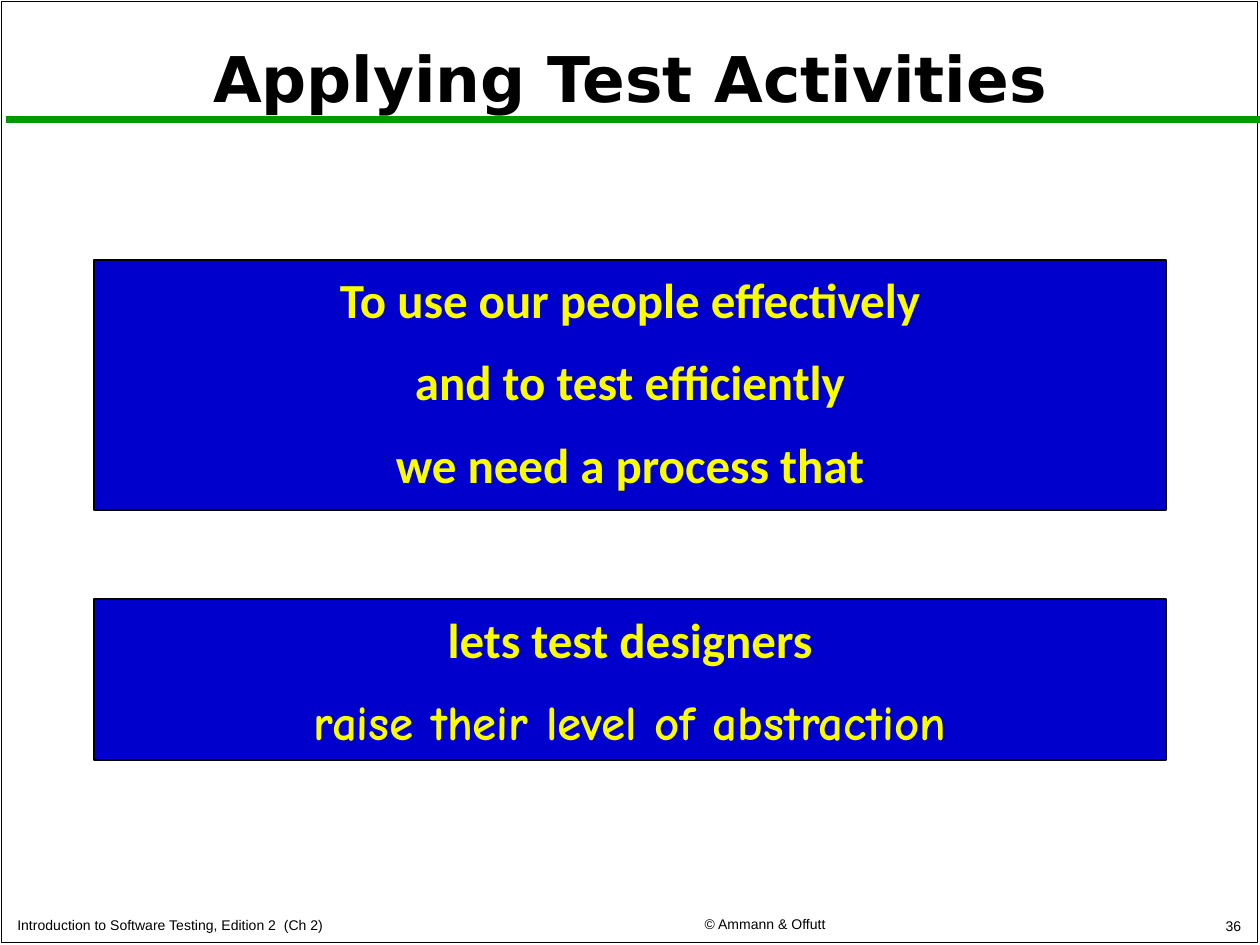
from dataclasses import dataclass

from lxml import etree
from pptx import Presentation, util as u
from pptx.dml.color import RGBColor
from pptx.enum import shapes, text
from pptx.oxml.ns import qn

ALIGN = text.PP_ALIGN
ANCHOR = text.MSO_ANCHOR


@dataclass(frozen=True)
class Theme:
    ink: RGBColor = RGBColor(0x00, 0x00, 0x00)
    rule: RGBColor = RGBColor(0x00, 0x99, 0x00)
    panel: RGBColor = RGBColor(0x00, 0x00, 0xCC)
    highlight: RGBColor = RGBColor(0xFA, 0xFD, 0x00)
    title_size: u.Pt = u.Pt(36)
    panel_size: u.Pt = u.Pt(28)
    footer_size: u.Pt = u.Pt(8)
    panel_gap: u.Pt = u.Pt(13.3)
    outline: u.Pt = u.Pt(1)
    rule_width: u.Pt = u.Pt(4.5)


@dataclass(frozen=True)
class Box:
    left: float
    top: float
    width: float
    height: float

    def lengths(self) -> tuple:
        return tuple(u.Cm(side) for side in (self.left, self.top, self.width, self.height))


@dataclass(frozen=True)
class Label:
    wording: str
    box: Box
    align: ALIGN
    anchor: ANCHOR
    font: str
    size: u.Pt
    bold: bool = False


@dataclass(frozen=True)
class Panel:
    box: Box
    lines: tuple[tuple[str, str], ...]


THEME = Theme()
FOOTERS = (
    ("Introduction to Software Testing, Edition 2  (Ch 2)", Box(0.1, 18.24, 10.67, 0.69), ALIGN.LEFT),
    ("© Ammann & Offutt", Box(11.4, 18.21, 8.05, 0.71), ALIGN.CENTER),
    ("36", Box(19.99, 18.21, 5.28, 0.74), ALIGN.RIGHT),
)
LABELS = (
    Label("Applying Test Activities", Box(0.13, 0.28, 25.15, 2.54), ALIGN.CENTER,
          ANCHOR.MIDDLE, "DejaVu Sans", THEME.title_size, True),
    *(Label(wording, box, align, ANCHOR.BOTTOM, "Arial", THEME.footer_size)
      for wording, box, align in FOOTERS),
)
PANELS = (
    Panel(Box(1.9, 5.24, 21.6, 5.05), (
        ("To use our people effectively", "Calibri"),
        ("and to test efficiently", "Calibri"),
        ("we need a process that", "Calibri"),
    )),
    Panel(Box(1.9, 12.08, 21.6, 3.25), (
        ("lets test designers", "Calibri"),
        ("raise their level of abstraction", "Comic Neue"),
    )),
)


def style_font(font, name: str, size: u.Pt, color: RGBColor, bold: bool) -> None:
    font.name, font.size, font.bold = name, size, bold
    font.color.rgb = color


def add_rectangle(slide, box: Box):
    shape = slide.shapes.add_shape(shapes.MSO_SHAPE.RECTANGLE, *box.lengths())
    shape.shadow.inherit = False
    shape.line.color.rgb = THEME.ink
    shape.line.width = THEME.outline
    return shape


def add_rule(slide, left: float, right: float, top: float) -> None:
    connector = slide.shapes.add_connector(
        shapes.MSO_CONNECTOR.STRAIGHT, u.Cm(left), u.Cm(top), u.Cm(right), u.Cm(top))
    connector.line.color.rgb = THEME.rule
    connector.line.width = THEME.rule_width
    etree.SubElement(connector._element.spPr, qn("a:effectLst"))


def add_label(slide, label: Label) -> None:
    frame = slide.shapes.add_textbox(*label.box.lengths()).text_frame
    frame.word_wrap = True
    frame.vertical_anchor = label.anchor
    frame.text = label.wording
    paragraph = frame.paragraphs[0]
    paragraph.alignment = label.align
    style_font(paragraph.runs[0].font, label.font, label.size, THEME.ink, label.bold)


def add_panel(slide, panel: Panel) -> None:
    shape = add_rectangle(slide, panel.box)
    shape.fill.solid()
    shape.fill.fore_color.rgb = THEME.panel
    frame = shape.text_frame
    frame.word_wrap = True
    frame.vertical_anchor = ANCHOR.TOP
    frame.margin_top = u.Cm(0.2)
    frame.text = "\n".join(wording for wording, _ in panel.lines)
    for index, (paragraph, (_, font)) in enumerate(zip(frame.paragraphs, panel.lines)):
        paragraph.alignment = ALIGN.CENTER
        paragraph.space_before = THEME.panel_gap if index else u.Pt(0)
        style_font(paragraph.runs[0].font, font, THEME.panel_size, THEME.highlight, True)


def main() -> None:
    """Build the slide on applying test activities."""
    presentation = Presentation()
    presentation.slide_width, presentation.slide_height = u.Cm(25.4), u.Cm(19.05)
    slide = presentation.slides.add_slide(presentation.slide_layouts[6])
    add_rectangle(slide, Box(0.03, 0.03, 25.32, 18.97)).fill.background()
    add_rule(slide, 0.13, 25.45, 2.41)
    for label in LABELS:
        add_label(slide, label)
    for panel in PANELS:
        add_panel(slide, panel)
    presentation.save("out.pptx")


if __name__ == "__main__":
    main()
